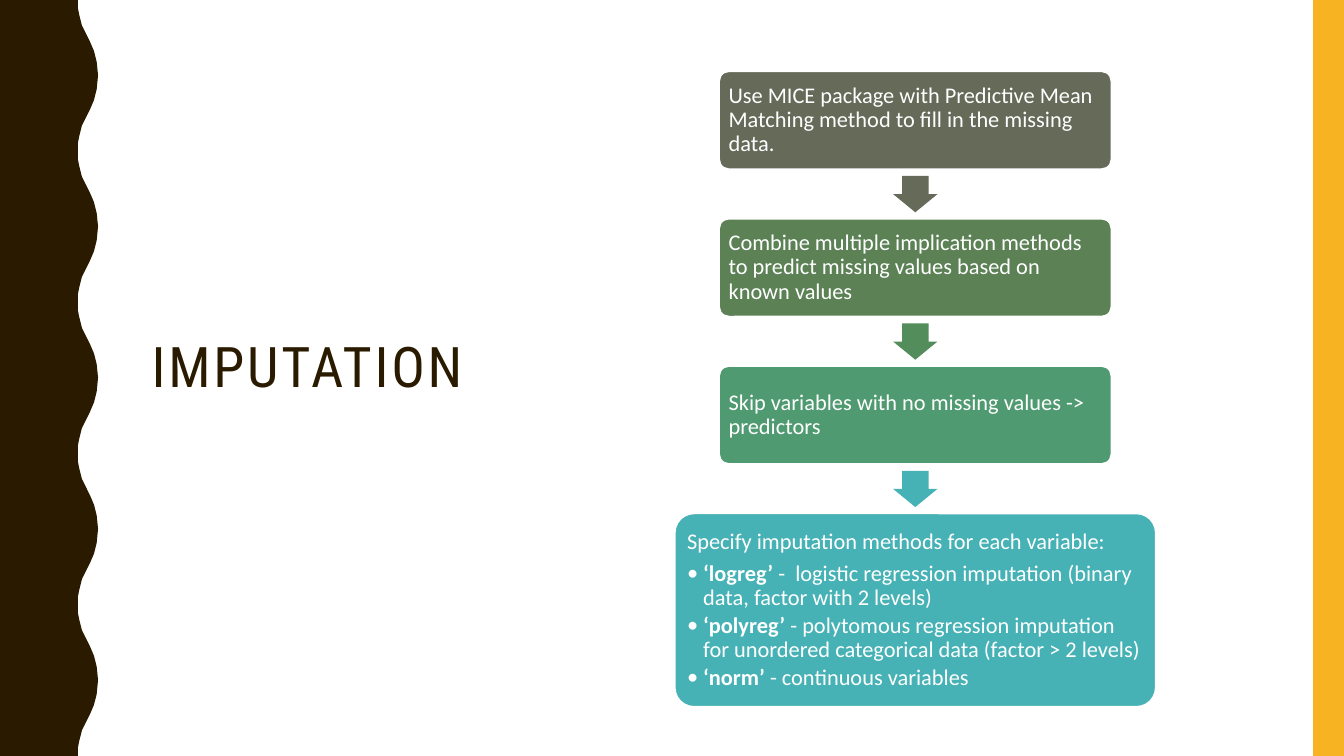
from dataclasses import dataclass

from lxml.etree import SubElement
from pptx import Presentation
from pptx.dml.color import RGBColor
from pptx.enum.shapes import MSO_SHAPE as Preset
from pptx.enum.text import MSO_ANCHOR as Anchor, PP_ALIGN as Align
from pptx.oxml.ns import qn
from pptx.util import Inches, Pt

COLORS = {
    "brown": "2A1A00", "yellow": "F8B323", "white": "FFFFFF",
    "olive": "656A59", "moss": "5B8155", "leaf": "528D5B",
    "green": "4F9A70", "teal": "46B2B5",
}
WIDTH = 10
HEIGHT = WIDTH * 9 / 16
FLOW_CENTER = 6.81
FLOW_TOP, STEP_PITCH, STEP_HEIGHT = 0.53, (3.82 - 0.53) / 3, 0.73
ARROW_LENGTH, ARROW_BREADTH, ARROW_GAP = 0.27, 0.33, 0.02
WAVE_COUNT = 5
WAVE_PERIOD = HEIGHT / WAVE_COUNT
# Trough to crest of the wavy edge, as (x, y)
RISE = [(0.58, 0), (0.58, 0.06), (0.59, 0.11), (0.61, 0.19), (0.64, 0.25),
        (0.67, 0.31), (0.7, 0.38), (0.72, 0.46), (0.73, 0.56)]


@dataclass
class Method:
    name: str
    meaning: str


@dataclass
class Step:
    text: str
    fill: str
    arrow_fill: str | None = None
    width: float = 2.92
    height: float = STEP_HEIGHT
    methods: tuple[Method, ...] = ()


STEPS = [
    Step("Use MICE package with Predictive Mean Matching method to fill in the "
         "missing data.", "olive", "olive"),
    Step("Combine multiple implication methods to predict missing values based on "
         "known values", "moss", "leaf"),
    Step("Skip variables with no missing values -> predictors", "green", "teal"),
    Step("Specify imputation methods for each variable:", "teal",
         width=3.58, height=1.44, methods=(
             Method("‘logreg’", " -  logistic regression imputation (binary data, "
                    "factor with 2 levels)"),
             Method("‘polyreg’ ", "- polytomous regression imputation for unordered "
                    "categorical data (factor > 2 levels)"),
             Method("‘norm’", " - continuous variables"))),
]


def rgb(color: str) -> RGBColor:
    return RGBColor.from_string(COLORS[color])


def paint(shape, fill: str, line: str | None = None) -> None:
    shape.shadow.inherit = False
    shape.fill.solid()
    shape.fill.fore_color.rgb = rgb(fill)
    if line:
        shape.line.color.rgb = rgb(line)
        shape.line.width = Pt(1)
    else:
        shape.line.fill.background()


def apply(target, formats: dict) -> None:
    for attribute, value in formats.items():
        setattr(target, attribute, value)


def add_run(paragraph, text: str, color: str, **formats):
    run = paragraph.add_run()
    run.text = text
    run.font.color.rgb = rgb(color)
    apply(run.font, formats)
    return run


def add_bullet(paragraph) -> None:
    properties = paragraph._p.get_or_add_pPr()
    properties.set("marL", str(Inches(0.12)))
    properties.set("indent", str(Inches(-0.12)))
    SubElement(properties, qn("a:buFont")).set("typeface", "Calibri")
    SubElement(properties, qn("a:buChar")).set("char", "•")


def draw_wavy_edge(shapes) -> None:
    fall = [(x, WAVE_PERIOD - y) for x, y in reversed(RISE[1:-1])]
    edge = [(Inches(x), Inches(y + wave * WAVE_PERIOD))
            for wave in range(WAVE_COUNT) for x, y in RISE + fall]
    bottom = Inches(HEIGHT)
    builder = shapes.build_freeform(0, 0)
    builder.add_line_segments([*edge, (Inches(0.58), bottom), (0, bottom)])
    paint(builder.convert_to_shape(), "brown")


def draw_title(shapes) -> None:
    title = shapes.add_textbox(Inches(1.03), Inches(0.53), Inches(3.37), Inches(4.44))
    apply(title.text_frame, {"word_wrap": True, "vertical_anchor": Anchor.MIDDLE})
    paragraph = title.text_frame.paragraphs[0]
    paragraph.line_spacing = 0.9
    run = add_run(paragraph, "IMPUTATION", "brown", name="Roboto Condensed", size=Pt(30))
    run._r.get_or_add_rPr().set("spc", "150")


def draw_step(shapes, step: Step, top: float) -> None:
    box = shapes.add_shape(
        Preset.ROUNDED_RECTANGLE, Inches(FLOW_CENTER - step.width / 2), Inches(top),
        Inches(step.width), Inches(step.height))
    box.adjustments[0] = 0.1
    paint(box, step.fill, "white")
    frame = box.text_frame
    apply(frame, {"word_wrap": True, "vertical_anchor": Anchor.MIDDLE})
    apply(frame, {f"margin_{side}": Inches(0.05)
                  for side in ("left", "top", "right", "bottom")})

    body = {"name": "Calibri", "size": Pt(12)}
    layout = {"alignment": Align.LEFT, "line_spacing": 0.9}
    lead = frame.paragraphs[0]
    apply(lead, layout | {"space_after": Pt(4.2)})
    add_run(lead, step.text, "white", **body)
    for method in step.methods:
        item = frame.add_paragraph()
        apply(item, layout | {"level": 1, "space_after": Pt(1.8)})
        add_bullet(item)
        add_run(item, method.name, "white", bold=True, **body)
        add_run(item, method.meaning, "white", bold=False, **body)


def draw_arrow(shapes, fill: str, top: float) -> None:
    """Draw a right arrow turned to point down."""
    arrow = shapes.add_shape(
        Preset.RIGHT_ARROW, Inches(FLOW_CENTER - ARROW_LENGTH / 2), Inches(top),
        Inches(ARROW_LENGTH), Inches(ARROW_BREADTH))
    arrow.rotation = 90
    arrow.adjustments[0] = 0.6
    arrow.adjustments[1] = 0.5
    paint(arrow, fill)


def main() -> None:
    deck = Presentation()
    apply(deck, {"slide_width": Inches(WIDTH), "slide_height": Inches(HEIGHT)})
    shapes = deck.slides.add_slide(deck.slide_layouts[6]).shapes

    draw_wavy_edge(shapes)
    band = shapes.add_shape(Preset.RECTANGLE, Inches(9.77), 0, Inches(0.23), Inches(HEIGHT))
    paint(band, "yellow")
    draw_title(shapes)
    for index, step in enumerate(STEPS):
        top = FLOW_TOP + index * STEP_PITCH
        draw_step(shapes, step, top)
        if step.arrow_fill:
            draw_arrow(shapes, step.arrow_fill, top + step.height + ARROW_GAP)
    deck.save("out.pptx")


if __name__ == "__main__":
    main()
